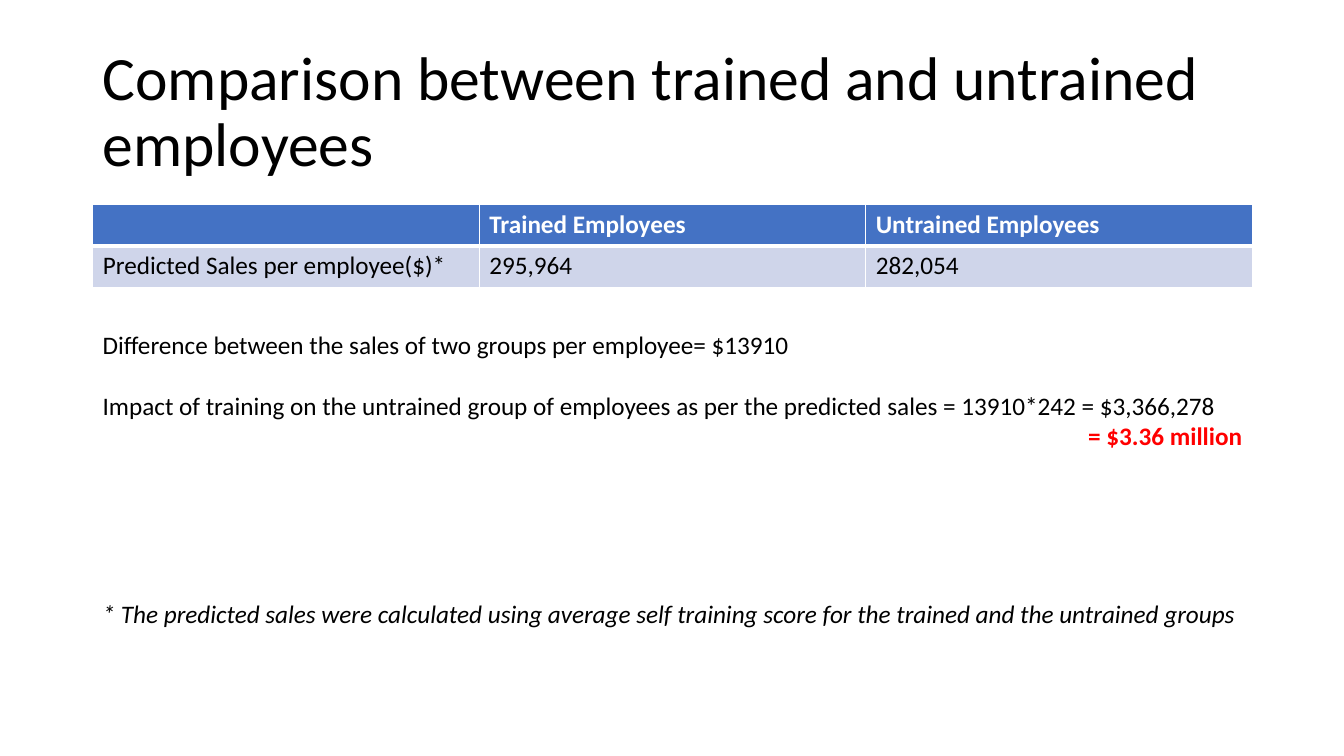
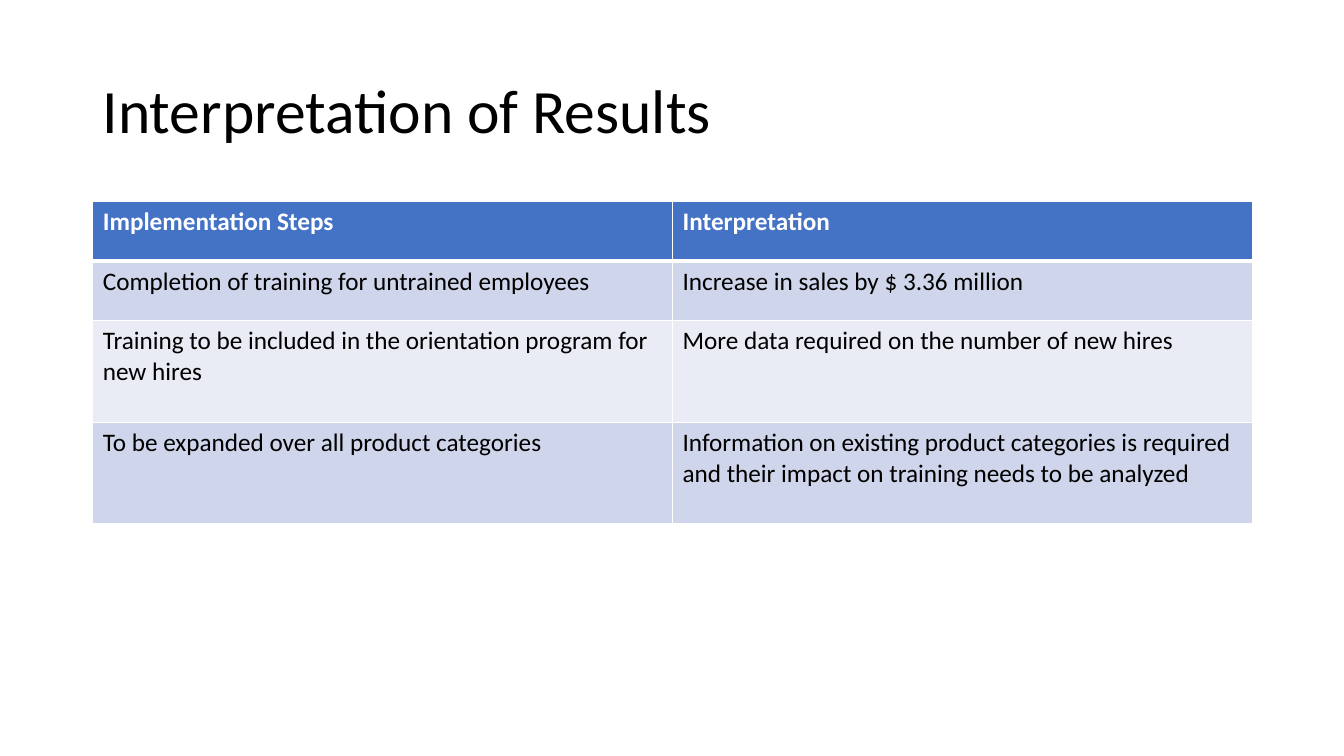
from pptx import Presentation
from pptx.dml.color import RGBColor as RGB
from pptx.enum.text import MSO_ANCHOR as Anchor, PP_ALIGN as Align
from pptx.oxml import parse_xml
from pptx.oxml.ns import nsdecls
from pptx.util import Inches, Pt

FONT = "Calibri"
BLACK = RGB(0x00, 0x00, 0x00)
WHITE = RGB(0xFF, 0xFF, 0xFF)
RED = RGB(0xFF, 0x00, 0x00)
BLUE = RGB(0x44, 0x72, 0xC4)
BANDS = (RGB(0xCF, 0xD5, 0xEA), RGB(0xE9, 0xEB, 0xF5))
LEFT, WIDTH = 0.92, 11.5


def write(para, text, size=18, color=BLACK, bold=False, italic=False,
          align=Align.LEFT, before=0, spacing=None):
    """Put formatted text in a paragraph."""
    para.alignment = align
    para.space_before = Pt(before)
    para.line_spacing = spacing
    run = para.add_run()
    run.text = text
    font = run.font
    font.name, font.size, font.bold, font.italic = FONT, Pt(size), bold, italic
    font.color.rgb = color


def add_text(slide, box, lines, anchor=Anchor.TOP):
    """Add a text box holding (text, format) lines."""
    frame = slide.shapes.add_textbox(*map(Inches, box)).text_frame
    frame.word_wrap = True
    frame.vertical_anchor = anchor
    for i, (text, style) in enumerate(lines):
        para = frame.add_paragraph() if i else frame.paragraphs[0]
        write(para, text, **style)


def add_edges(cell, **widths):
    """Draw white cell borders of the given point widths."""
    props = cell._tc.get_or_add_tcPr()
    for side, width in widths.items():
        props.append(parse_xml(
            f'<a:ln{side} {nsdecls("a")} w="{Pt(width)}"><a:solidFill>'
            f'<a:srgbClr val="{WHITE}"/></a:solidFill></a:ln{side}>'))


def add_grid(slide, top, heights, rows):
    """Add a table with a blue header and banded body rows."""
    count = len(rows[0])
    table = slide.shapes.add_table(
        len(rows), count, Inches(LEFT), Inches(top),
        Inches(WIDTH), Inches(sum(heights))).table
    for col in table.columns:
        col.width = Inches(WIDTH / count)
    for r, (height, texts) in enumerate(zip(heights, rows)):
        table.rows[r].height = Inches(height)
        head = r == 0
        for c, text in enumerate(texts):
            cell = table.cell(r, c)
            add_edges(cell, L=1, R=1, T=3 if r == 1 else 1, B=3 if head else 1)
            cell.fill.solid()
            cell.fill.fore_color.rgb = BLUE if head else BANDS[(r - 1) % 2]
            if text:
                write(cell.text_frame.paragraphs[0], text, bold=head,
                      color=WHITE if head else BLACK)


def add_page(deck, title):
    """Add a blank slide with the shared title style."""
    slide = deck.slides.add_slide(deck.slide_layouts[6])
    add_text(slide, (LEFT, 0.4, WIDTH, 1.45),
             [(title, dict(size=44, spacing=0.9))], Anchor.MIDDLE)
    return slide


def build_sales(deck):
    """Build the slide that compares predicted sales."""
    slide = add_page(deck, "Comparison between trained and untrained employees")
    add_grid(slide, 2.03, (0.41, 0.41), (
        ("", "Trained Employees", "Untrained Employees"),
        ("Predicted Sales per employee($)*", "295,964", "282,054")))
    add_text(slide, (LEFT, 3.22, WIDTH, 1.31), [
        ("Difference between the sales of two groups per employee= $13910", {}),
        ("Impact of training on the untrained group of employees as per the "
         "predicted sales = 13910*242 = $3,366,278", dict(before=21.6)),
        ("= $3.36 million", dict(color=RED, bold=True, align=Align.RIGHT))])
    add_text(slide, (LEFT, 5.89, WIDTH, 0.4), [
        ("* The predicted sales were calculated using average self training "
         "score for the trained and the untrained groups", dict(italic=True))])


def build_results(deck):
    """Build the slide that interprets the results."""
    slide = add_page(deck, "Interpretation of Results")
    add_grid(slide, 2, (0.59, 0.59, 1.01, 1.01), (
        ("Implementation Steps", "Interpretation"),
        ("Completion of training for untrained employees",
         "Increase in sales by $ 3.36 million"),
        ("Training to be included in the orientation program for new hires",
         "More data required on the number of new hires"),
        ("To be expanded over all product categories",
         "Information on existing product categories is required and their "
         "impact on training needs to be analyzed")))


def main():
    """Build and save the deck."""
    deck = Presentation()
    deck.slide_width, deck.slide_height = Inches(13.33), Inches(7.5)
    build_sales(deck)
    build_results(deck)
    deck.save("out.pptx")


if __name__ == "__main__":
    main()
